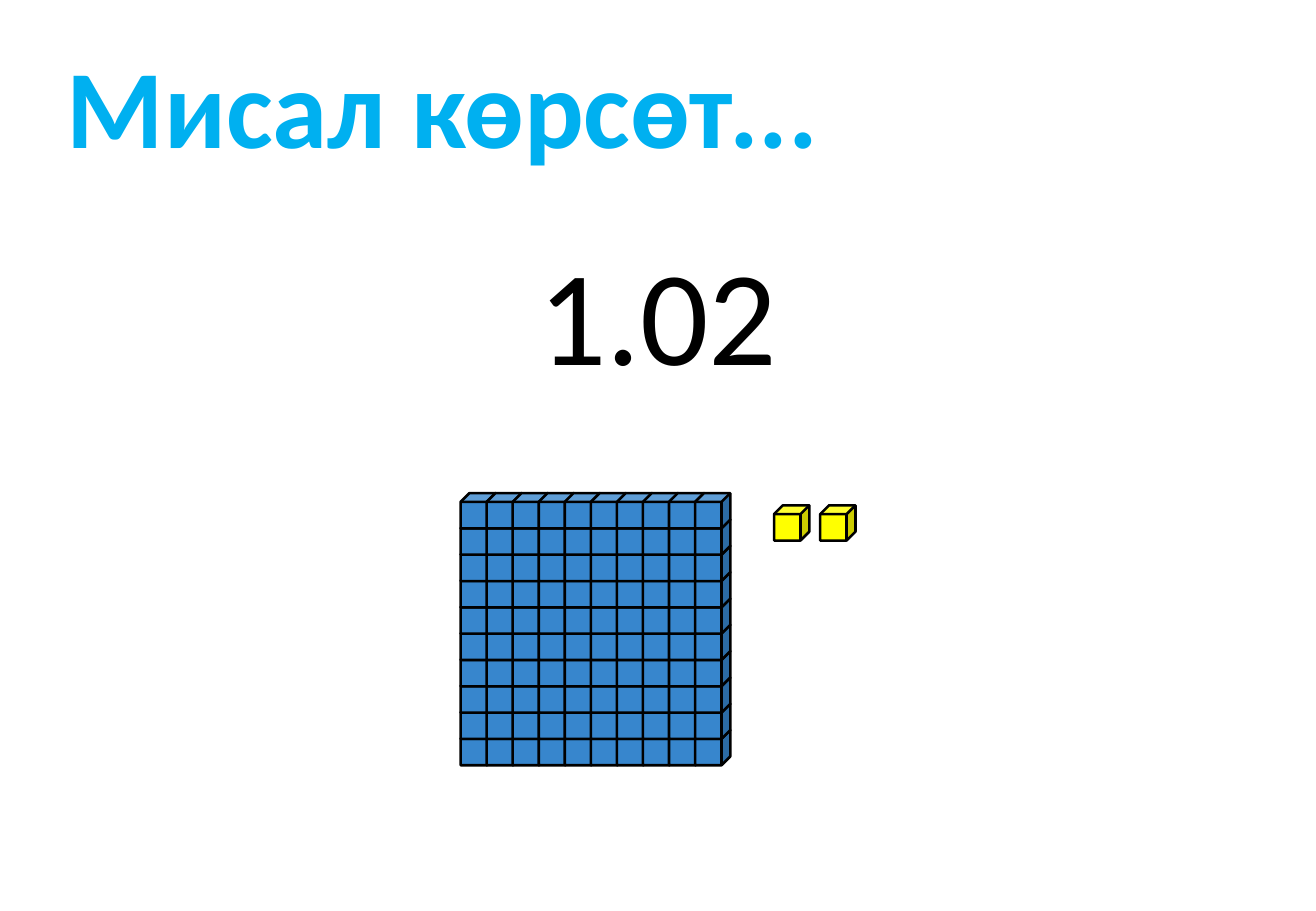
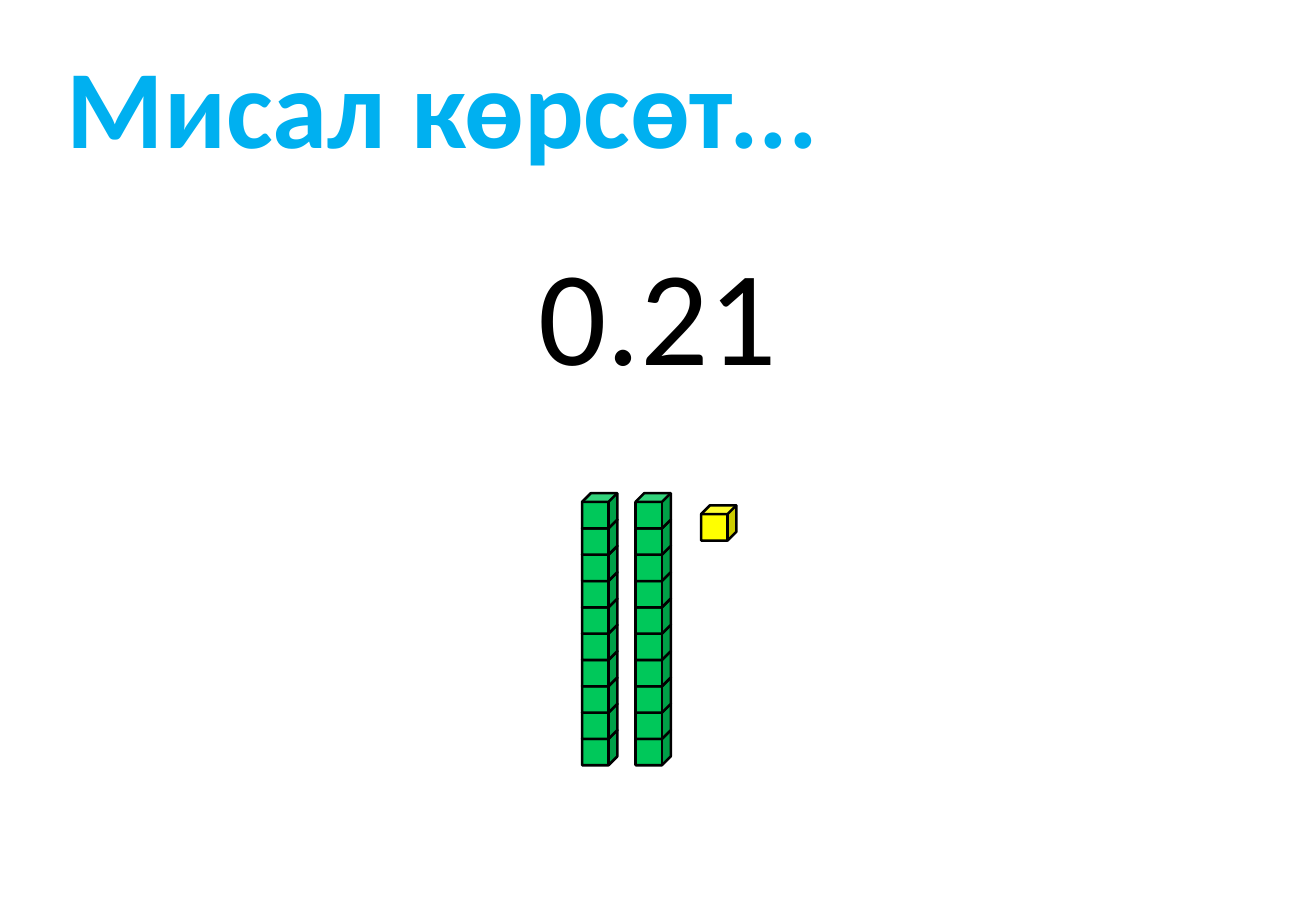
from dataclasses import dataclass

from pptx import Presentation
from pptx.dml.color import RGBColor
from pptx.enum import shapes, text
from pptx.util import Inches, Pt


@dataclass(frozen=True)
class Theme:
    font: str = "Calibri"
    title_size: int = 66
    number_size: int = 80
    title: str = "00B0F0"
    ink: str = "000000"
    one: str = "3786CD"
    tenth: str = "00C85A"
    hundredth: str = "FFFF00"
    outline: float = 1.5


class Deck:
    CUBE = 0.29
    COUNT = 10
    COLUMN_STEP = 1.93 / 9
    ROW_STEP = 1.95 / 9
    BLOCK_TOP = 4.06
    UNIT_TOP = 4.16
    UNIT_STEP = 0.38

    def __init__(self, theme):
        self.theme = theme
        self.presentation = Presentation()
        self.presentation.slide_width = Inches(10.83)
        self.presentation.slide_height = Inches(7.5)
        self.slide = None

    def new_slide(self, title, number):
        layout = self.presentation.slide_layouts.get_by_name("Title Only")
        self.slide = self.presentation.slides.add_slide(layout)
        self.title(title)
        self.number(number)

    def set_text(self, shape, words, size, color, alignment, bold=False):
        frame = shape.text_frame
        frame.vertical_anchor = text.MSO_ANCHOR.TOP
        frame.auto_size = text.MSO_AUTO_SIZE.SHAPE_TO_FIT_TEXT
        paragraph = frame.paragraphs[0]
        paragraph.alignment = alignment
        run = paragraph.add_run()
        run.text = words
        run.font.name = self.theme.font
        run.font.size = Pt(size)
        run.font.bold = bold
        run.font.color.rgb = RGBColor.from_string(color)

    def title(self, words):
        shape = self.slide.shapes.title
        shape.left, shape.top = Inches(0.24), Inches(0.26)
        shape.width, shape.height = Inches(7.54), Inches(1.21)
        shape.text_frame.word_wrap = True
        shape.text_frame.margin_left = Inches(0.31)
        self.set_text(shape, words, self.theme.title_size, self.theme.title,
                      text.PP_ALIGN.LEFT, bold=True)

    def number(self, words):
        shape = self.slide.shapes.add_textbox(
            Inches(4.32), Inches(1.85), Inches(2.19), Inches(1.45))
        shape.text_frame.word_wrap = False
        self.set_text(shape, words, self.theme.number_size, self.theme.ink,
                      text.PP_ALIGN.CENTER)

    def cube(self, group, left, top, color):
        shape = group.shapes.add_shape(
            shapes.MSO_SHAPE.CUBE, Inches(left), Inches(top),
            Inches(self.CUBE), Inches(self.CUBE))
        shape.shadow.inherit = False
        shape.fill.solid()
        shape.fill.fore_color.rgb = RGBColor.from_string(color)
        shape.line.color.rgb = RGBColor.from_string(self.theme.ink)
        shape.line.width = Pt(self.theme.outline)

    def block(self, left, columns, color):
        """Stack columns of ten cubes, each built from the bottom up."""
        group = self.slide.shapes.add_group_shape()
        for column in range(columns):
            for row in reversed(range(self.COUNT)):
                self.cube(group, left + column * self.COLUMN_STEP,
                          self.BLOCK_TOP + row * self.ROW_STEP, color)

    def one(self, left):
        self.block(left, self.COUNT, self.theme.one)

    def tenth(self, left):
        self.block(left, 1, self.theme.tenth)

    def hundredths(self, left, count):
        group = self.slide.shapes.add_group_shape()
        for index in range(count):
            self.cube(group, left + index * self.UNIT_STEP, self.UNIT_TOP,
                      self.theme.hundredth)


def main():
    deck = Deck(Theme())
    title = "Мисал көрсөт..."

    # One whole and two hundredths
    deck.new_slide(title, "1.02")
    deck.one(3.79)
    deck.hundredths(6.37, 2)

    # Two tenths and one hundredth
    deck.new_slide(title, "0.21")
    for left in (4.79, 5.23):
        deck.tenth(left)
    deck.hundredths(5.77, 1)

    deck.presentation.save("out.pptx")


if __name__ == "__main__":
    main()
